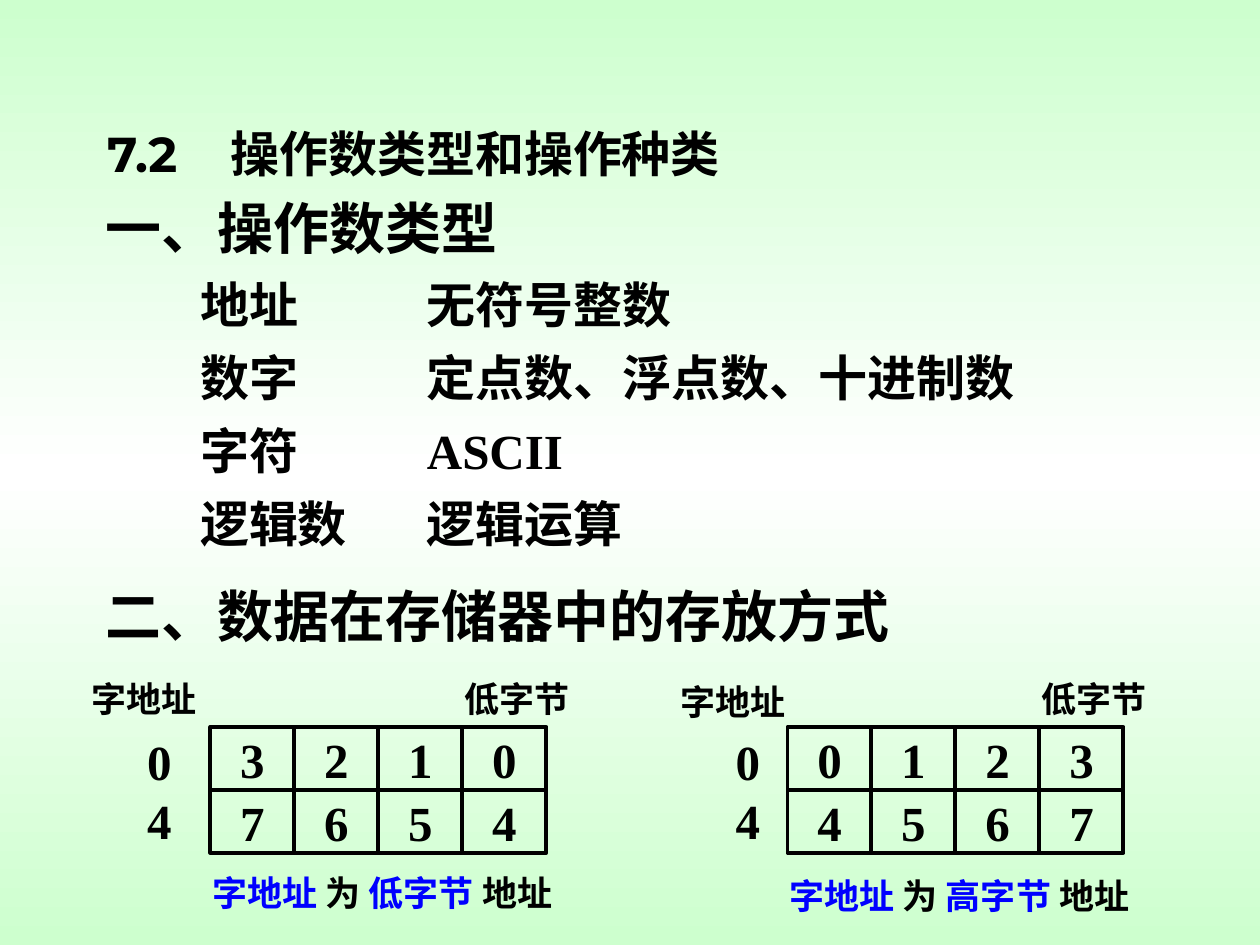
from copy import deepcopy

from lxml import etree
from pptx import Presentation
from pptx.dml.color import RGBColor
from pptx.enum import lang, shapes, text
from pptx.oxml import ns
from pptx.util import Inches, Pt

BLACK = RGBColor(0x00, 0x00, 0x00)
BLUE = RGBColor(0x00, 0x00, 0xFF)
GREEN = RGBColor(0xCD, 0xFF, 0xCE)
WHITE = RGBColor(0xFF, 0xFF, 0xFF)

TITLE_FONT = "Montserrat"
BODY_FONT = "Times New Roman"

OPERAND_TYPES = [
    ("地址", "无符号整数"),
    ("数字", "定点数、浮点数、十进制数"),
    ("字符", "ASCII"),
    ("逻辑数", "逻辑运算"),
]
CELL_WIDTH, CELL_HEIGHT = Inches(2 / 3), Inches(0.5)


def add_run(paragraph, words, size, color=BLACK, font=BODY_FONT):
    run = paragraph.add_run()
    run.text = words
    run.font.name = font
    run.font.size = Pt(size)
    run.font.bold = True
    run.font.color.rgb = color
    run.font.language_id = lang.MSO_LANGUAGE_ID.SIMPLIFIED_CHINESE


def add_label(slide, left, top, width, height, lines, size):
    """Add a text box; each line is a list of (words, color) runs."""
    frame = slide.shapes.add_textbox(left, top, width, height).text_frame
    frame.word_wrap = False
    frame.auto_size = text.MSO_AUTO_SIZE.SHAPE_TO_FIT_TEXT
    for index, runs in enumerate(lines):
        paragraph = frame.add_paragraph() if index else frame.paragraphs[0]
        for words, color in runs:
            add_run(paragraph, words, size, color)


def fill_background(slide):
    fill = slide.background.fill
    fill.gradient()
    fill.gradient_angle = 90
    stop_list = next(slide.element.iter(ns.qn("a:gsLst")))
    stop_list.append(deepcopy(stop_list[-1]))
    stops = zip(fill.gradient_stops, (0, 0.5, 1), (GREEN, WHITE, GREEN))
    for stop, position, color in stops:
        stop.position = position
        stop.color.rgb = color


def place_title(slide, left, top, width, height):
    title = slide.shapes.title
    title.left, title.top, title.width, title.height = left, top, width, height
    frame = title.text_frame
    frame.auto_size = text.MSO_AUTO_SIZE.NONE
    frame.vertical_anchor = text.MSO_ANCHOR.BOTTOM
    paragraph = frame.paragraphs[0]
    paragraph.alignment = text.PP_ALIGN.LEFT
    add_run(paragraph, "7.2\t操作数类型和操作种类", 28, font=TITLE_FONT)
    tabs = etree.SubElement(paragraph._p.get_or_add_pPr(), ns.qn("a:tabLst"))
    etree.SubElement(tabs, ns.qn("a:tab"), pos=str(Inches(0.98)), algn="l")


def add_heading(slide, left, top, width, words):
    add_label(slide, left, top, width, Inches(0.64), [[(words, BLACK)]], 32)


def add_operand_types(slide, left, top):
    for row, pair in enumerate(OPERAND_TYPES):
        for words, indent in zip(pair, (0, Inches(1.8))):
            width = Inches(1.28 if words == "ASCII" else 0.2 + 0.39 * len(words))
            add_label(slide, left + indent, top + row * Inches(0.58),
                      width, Inches(0.57), [[(words, BLACK)]], 28)


def add_byte_cell(slide, left, top, number):
    cell = slide.shapes.add_shape(
        shapes.MSO_SHAPE.RECTANGLE, left, top, CELL_WIDTH, CELL_HEIGHT)
    cell.shadow.inherit = False
    cell.fill.background()
    cell.line.color.rgb = BLACK
    cell.line.width = Pt(2.25)
    frame = cell.text_frame
    frame.word_wrap = False
    frame.vertical_anchor = text.MSO_ANCHOR.MIDDLE
    frame.paragraphs[0].alignment = text.PP_ALIGN.CENTER
    add_run(frame.paragraphs[0], str(number), 28)


def add_memory_layout(slide, left, top, words, address_gap, drop, byte_name):
    """Draw the byte grid at left, top with its address labels and note."""
    for row, numbers in enumerate(words):
        for column, number in enumerate(numbers):
            add_byte_cell(slide, left + column * CELL_WIDTH,
                          top + row * CELL_HEIGHT, number)
    address_left = left - address_gap
    label_width, label_height = Inches(1.04), Inches(0.44)
    add_label(slide, address_left, top - label_height + drop, label_width,
              label_height, [[("字地址", BLACK)]], 20)
    add_label(slide, address_left + Inches(0.44), top - Inches(0.01),
              Inches(0.39), Inches(1.04), [[("0", BLACK)], [("4", BLACK)]], 28)
    add_label(slide, left + Inches(1.92), top - label_height, label_width,
              label_height, [[("低字节", BLACK)]], 20)
    note = [("字地址 ", BLUE), ("为 ", BLACK), (byte_name + " ", BLUE),
            ("地址", BLACK)]
    add_label(slide, left - Inches(0.08), top + Inches(1.1) + drop,
              Inches(2.9), label_height, [note], 20)


def main():
    presentation = Presentation()
    presentation.slide_width = Inches(10)
    presentation.slide_height = Inches(7.5)
    slide = presentation.slides.add_slide(presentation.slide_layouts[5])
    fill_background(slide)
    place_title(slide, Inches(0.75), Inches(0.25), Inches(8.5), Inches(1.25))
    add_heading(slide, Inches(0.74), Inches(1.49), Inches(3.32), "一、操作数类型")
    add_operand_types(slide, Inches(1.49), Inches(2.13))
    add_heading(slide, Inches(0.74), Inches(4.57), Inches(6.43),
                "二、数据在存储器中的存放方式")
    grid_top = Inches(5.77)
    add_memory_layout(slide, Inches(1.67), grid_top, [(3, 2, 1, 0), (7, 6, 5, 4)],
                      Inches(1.04), 0, "低字节")
    add_memory_layout(slide, Inches(6.25), grid_top, [(0, 1, 2, 3), (4, 5, 6, 7)],
                      Inches(0.95), Inches(0.02), "高字节")
    presentation.save("out.pptx")


if __name__ == "__main__":
    main()
